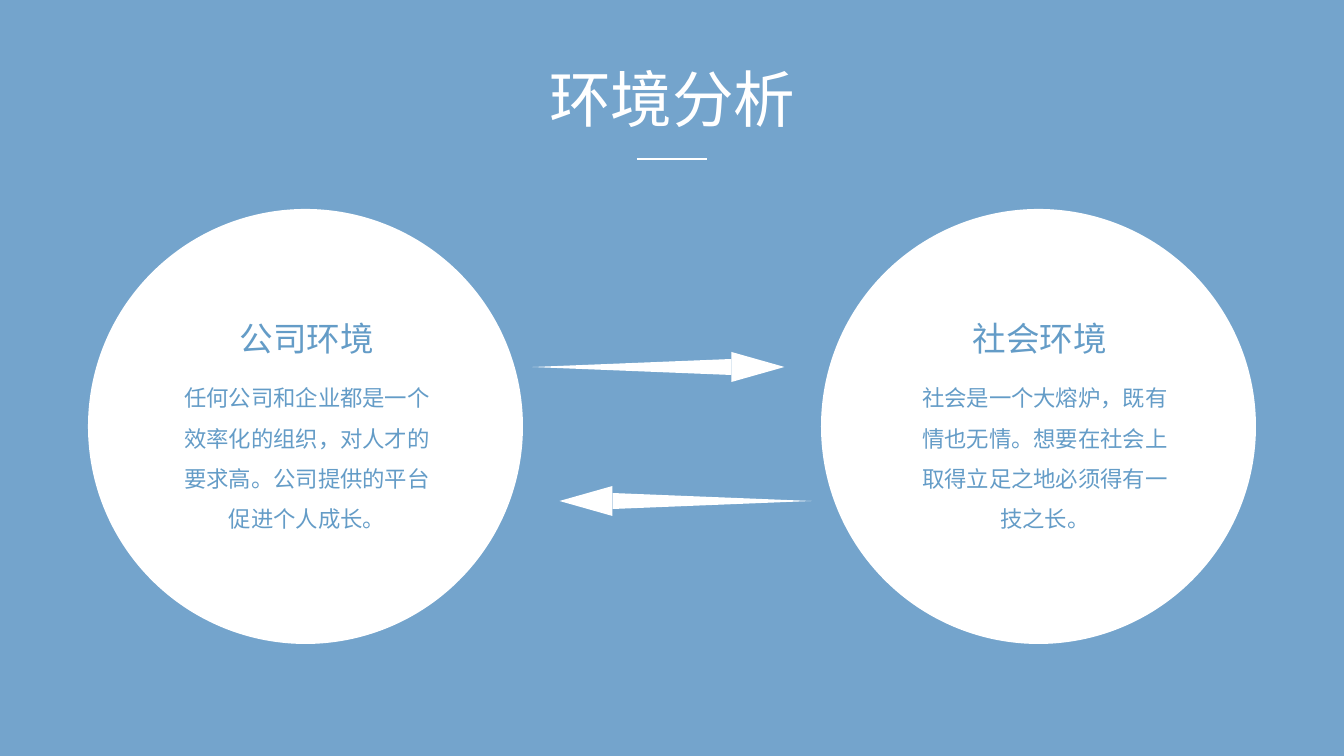
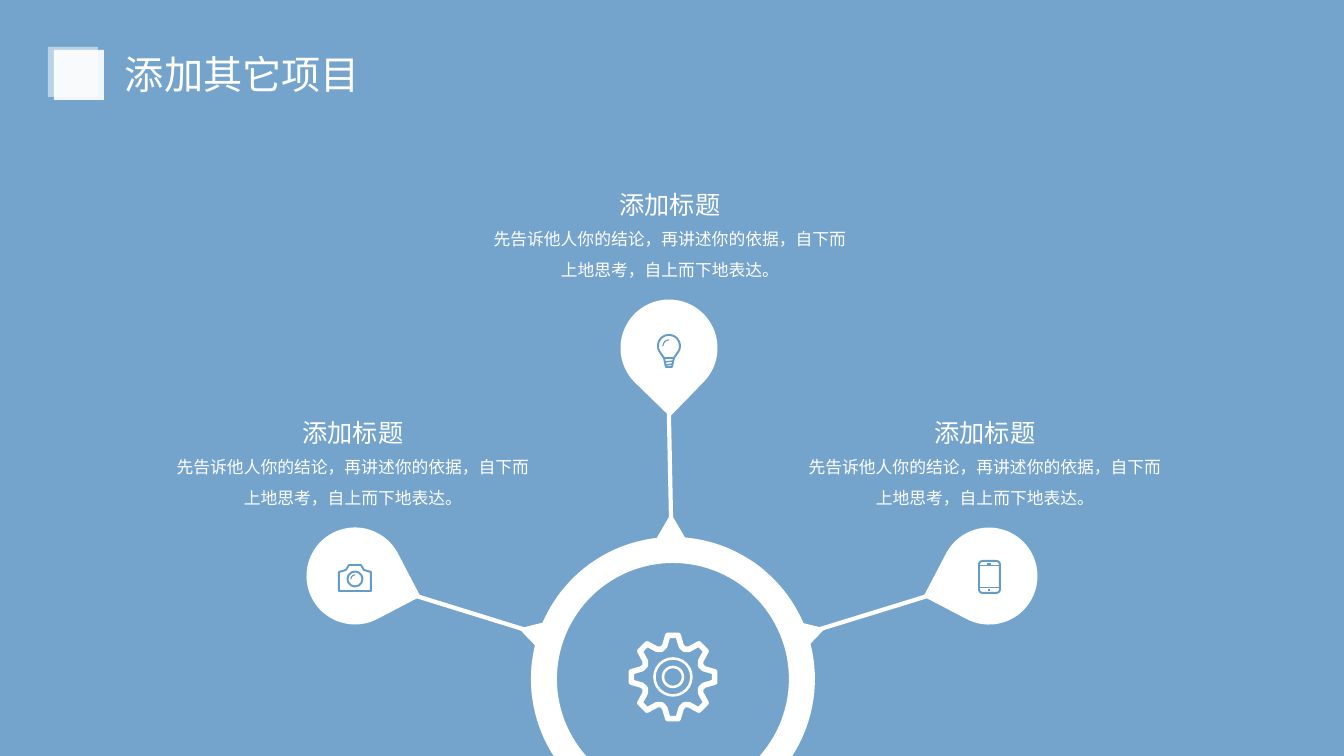
import math

import lxml.etree
import pptx
import pptx.dml.color
import pptx.enum.shapes
import pptx.enum.text
import pptx.oxml.ns
import pptx.util

PX = 12192000 / 1344
WIDTH, HEIGHT = 1344, 756
FONT = "Noto Sans CJK JP"
SKY, WHITE, BLUE = "74A4CC", "FFFFFF", "649CC7"
KIND = pptx.enum.shapes.MSO_SHAPE
ALIGN = pptx.enum.text.PP_ALIGN
qn = pptx.oxml.ns.qn

ENVIRONMENTS = [
    dict(heading="公司环境", left=88, heading_x=307, body_x=307,
         body="任何公司和企业都是一个效率化的组织，对人才的要求高。公司提供的平台促进个人成长。"),
    dict(heading="社会环境", left=821, heading_x=1040, body_x=1045,
         body="社会是一个大熔炉，既有情也无情。想要在社会上取得立足之地必须得有一技之长。"),
]
ARROWS = [
    dict(y=367, shaft_x=632, head_x=758, turn=90),
    dict(y=501, shaft_x=712, head_x=586, turn=270),
]
ITEM_TITLE = "添加标题"
ITEM_BODY = "先告诉他人你的结论，再讲述你的依据，自下而上地思考，自上而下地表达。"
ITEMS = [
    dict(caption_x=985, drop=(989, 576), drop_turn=207.6,
         spoke=(947, 590, 801, 635), notch=(813, 632), notch_turn=73.7),
    dict(caption_x=670, drop=(669, 348), drop_turn=134.2,
         spoke=(668, 369, 671, 517), notch=(671, 526), notch_turn=0),
    dict(caption_x=353, drop=(355, 576), drop_turn=62.4,
         spoke=(397, 590, 542, 635), notch=(531, 632), notch_turn=286.3),
]
HUB = (673, 679)
HUB_OUTER, HUB_INNER = 142, 116
GEAR = (673, 677)
GEAR_TEETH = 8
TOOTH = [(-15, 32), (-7, 42), (7, 42), (15, 32), (22.5, 30)]
HEADER_SQUARES = [(54, 50, 90), (48, 47, 51)]


def px(value):
    return pptx.util.Emu(round(value * PX))


def rgb(value):
    return pptx.dml.color.RGBColor.from_string(value)


def paint(shape, fill=None, line=None, weight=1, alpha=None):
    shape.shadow.inherit = False
    if fill:
        shape.fill.solid()
        shape.fill.fore_color.rgb = rgb(fill)
        if alpha:
            color = shape.fill._xPr.find(".//" + qn("a:srgbClr"))
            lxml.etree.SubElement(color, qn("a:alpha"), val=str(alpha * 1000))
    else:
        shape.fill.background()
    if line:
        shape.line.color.rgb = rgb(line)
        shape.line.width = pptx.util.Pt(weight)
    else:
        shape.line.fill.background()


def add_shape(slide, kind, left, top, width, height, turn=0, **look):
    shape = slide.shapes.add_shape(kind, px(left), px(top), px(width), px(height))
    shape.rotation = turn
    paint(shape, **look)


def add_centred(slide, kind, centre, width, height, **look):
    x, y = centre
    add_shape(slide, kind, x - width / 2, y - height / 2, width, height, **look)


def add_outline(slide, points, closed=True, **look):
    corners = [(px(x), px(y)) for x, y in points]
    builder = slide.shapes.build_freeform(*corners[0])
    builder.add_line_segments(corners[1:], close=closed)
    paint(builder.convert_to_shape(), **look)


def add_line(slide, x1, y1, x2, y2, color=WHITE, weight=1.5):
    line = slide.shapes.add_connector(
        pptx.enum.shapes.MSO_CONNECTOR.STRAIGHT, px(x1), px(y1), px(x2), px(y2))
    line.line.color.rgb = rgb(color)
    line.line.width = pptx.util.Pt(weight)
    lxml.etree.SubElement(line._element.spPr, qn("a:effectLst"))


def add_text(slide, text, left, top, width, height, size=12, color=WHITE,
             align=ALIGN.CENTER, spacing=None):
    frame = slide.shapes.add_textbox(px(left), px(top), px(width), px(height)).text_frame
    frame.word_wrap = True
    paragraph = frame.paragraphs[0]
    paragraph.alignment = align
    if spacing:
        paragraph.line_spacing = spacing
    run = paragraph.add_run()
    run.text = text
    run.font.size = pptx.util.Pt(size)
    run.font.name = FONT
    run.font.color.rgb = rgb(color)
    lxml.etree.SubElement(run._r.rPr, qn("a:ea"), typeface=FONT)


def polar(centre, radius, degrees):
    angle = math.radians(degrees)
    return centre[0] + radius * math.cos(angle), centre[1] + radius * math.sin(angle)


def arc(centre, radius, start, end, steps=24):
    return [polar(centre, radius, start + (end - start) * i / steps)
            for i in range(steps + 1)]


def new_slide(deck):
    slide = deck.slides.add_slide(deck.slide_layouts[6])
    slide.background.fill.solid()
    slide.background.fill.fore_color.rgb = rgb(SKY)
    return slide


def add_glint(slide, centre, radius):
    add_outline(slide, arc(centre, radius, 180, 270), closed=False, line=BLUE, weight=0.8)


def draw_bulb(slide):
    glass = (669, 346)
    socket = [(674, 358), (672, 367), (666, 367), (664, 358)]
    add_outline(slide, arc(glass, 11, 150, 390) + socket, line=BLUE, weight=1.4)
    for y1, y2, half in [(358, 358, 5), (362, 361, 4), (365, 364, 3)]:
        add_line(slide, 669 - half, y1, 669 + half, y2, BLUE, 1)
    add_glint(slide, glass, 6)


def draw_camera(slide):
    lens = (355, 579)
    body = [(339, 591), (339, 572), (346, 570), (349, 565),
            (361, 565), (364, 570), (371, 572), (371, 591)]
    add_outline(slide, body, line=BLUE, weight=1.4)
    add_centred(slide, KIND.OVAL, lens, 15, 15, line=BLUE, weight=1.4)
    add_glint(slide, lens, 4)


def draw_tablet(slide):
    add_shape(slide, KIND.ROUNDED_RECTANGLE, 979, 561, 21, 32, line=BLUE, weight=1.4)
    for y, half, weight in [(566, 10, 0.7), (588, 10, 0.7), (564, 2, 0.8), (590, 1, 0.8)]:
        add_line(slide, 989 - half, y, 989 + half, y, BLUE, weight)


def draw_gear(slide):
    rim = [polar(GEAR, radius, tooth * 360 / GEAR_TEETH + offset)
           for tooth in range(GEAR_TEETH) for offset, radius in TOOTH]
    add_outline(slide, rim, line=WHITE, weight=4)
    for size in (37, 20):
        add_centred(slide, KIND.OVAL, GEAR, size, size, line=WHITE, weight=1.8)


def draw_hub(slide):
    drop = HEIGHT - HUB[1]
    outer = math.degrees(math.asin(drop / HUB_OUTER))
    inner = math.degrees(math.asin(drop / HUB_INNER))
    ring = (arc(HUB, HUB_OUTER, 180 - outer, 360 + outer, 90)
            + arc(HUB, HUB_INNER, 360 + inner, 180 - inner, 90))
    add_outline(slide, ring, fill=WHITE)


def build_environment(deck):
    slide = new_slide(deck)
    add_text(slide, "环境分析", 514, 56, 317, 85, size=44)
    add_line(slide, 637, 159, 707, 159)
    for arrow in ARROWS:
        add_centred(slide, KIND.ISOSCELES_TRIANGLE, (arrow["shaft_x"], arrow["y"]),
                    16, 199, turn=(arrow["turn"] + 180) % 360, fill=WHITE)
        add_centred(slide, KIND.ISOSCELES_TRIANGLE, (arrow["head_x"], arrow["y"]),
                    30, 53, turn=arrow["turn"], fill=WHITE)
    for place in ENVIRONMENTS:
        add_shape(slide, KIND.OVAL, place["left"], 209, 435, 435, fill=WHITE)
        add_text(slide, place["heading"], place["heading_x"] - 89, 313, 178, 50,
                 size=24, color=BLUE)
        add_text(slide, place["body"], place["body_x"] - 143, 366, 286, 169,
                 size=16, color=BLUE, spacing=1.5)


def build_items(deck):
    slide = new_slide(deck)
    draw_hub(slide)
    for item in ITEMS:
        add_centred(slide, KIND.ISOSCELES_TRIANGLE, item["notch"], 29, 25,
                    turn=item["notch_turn"], fill=WHITE)
        add_centred(slide, KIND.TEAR, item["drop"], 97, 97,
                    turn=item["drop_turn"], fill=WHITE)
        add_line(slide, *item["spoke"], weight=3)
        x, top = item["caption_x"], item["drop"][1] - 164
        add_text(slide, ITEM_BODY, x - 189, top + 30, 378, 69, spacing=1.5)
        add_text(slide, ITEM_TITLE, x - 66, top, 132, 40, size=18)
    for draw in (draw_bulb, draw_camera, draw_tablet, draw_gear):
        draw(slide)
    for left, top, alpha in HEADER_SQUARES:
        add_shape(slide, KIND.RECTANGLE, left, top, 50, 50, fill=WHITE, alpha=alpha)
    add_text(slide, "添加其它项目", 115, 45, 267, 57, size=28, align=ALIGN.JUSTIFY)


def main():
    deck = pptx.Presentation()
    deck.slide_width, deck.slide_height = px(WIDTH), px(HEIGHT)
    build_environment(deck)
    build_items(deck)
    deck.save("out.pptx")


if __name__ == "__main__":
    main()
